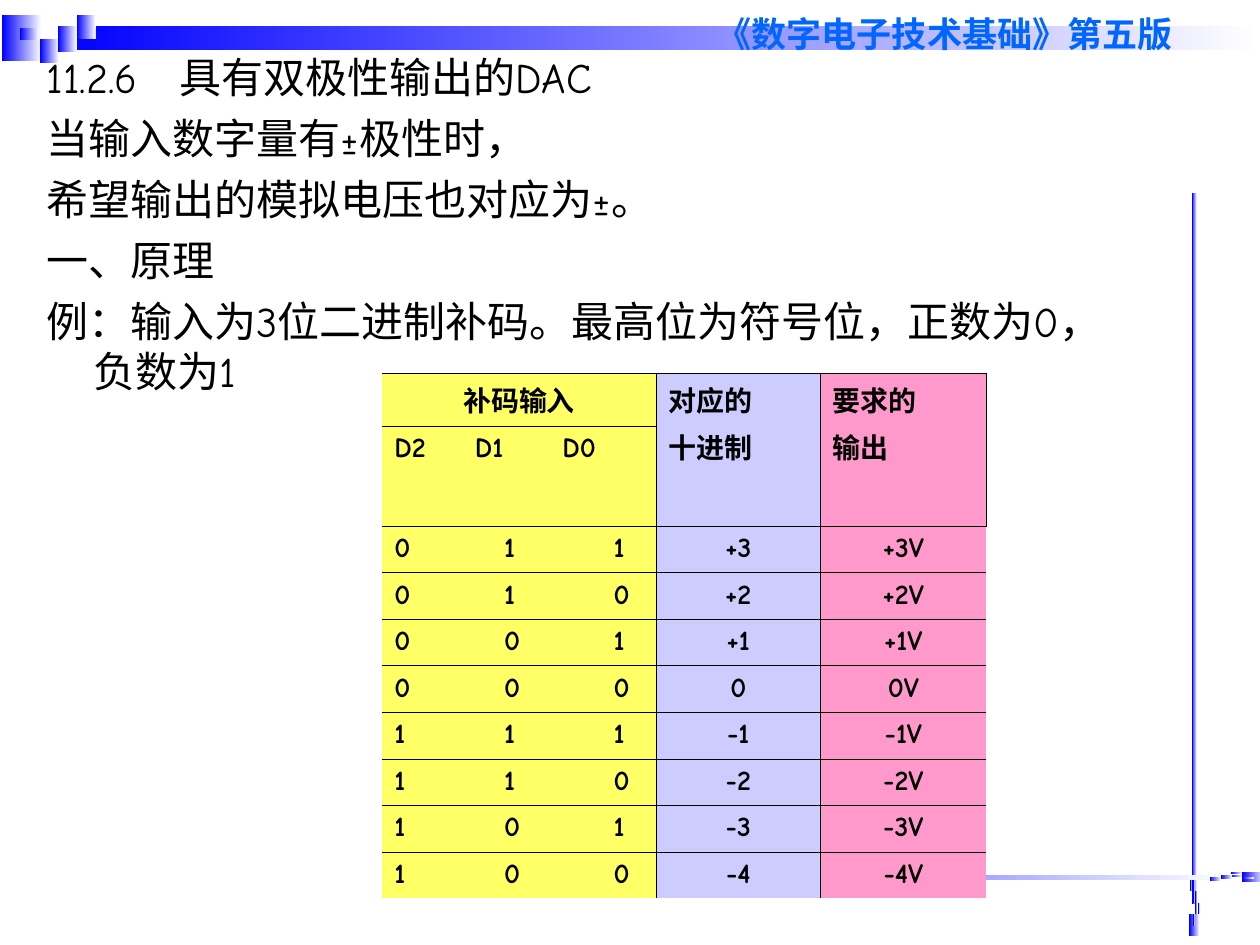
from lxml import etree
from pptx import Presentation
from pptx.dml.color import RGBColor
from pptx.enum.shapes import MSO_SHAPE
from pptx.enum.text import MSO_AUTO_SIZE, PP_ALIGN
from pptx.oxml.ns import qn
from pptx.util import Pt

RECT = MSO_SHAPE.RECTANGLE
FIXED = MSO_AUTO_SIZE.NONE
CENTER = PP_ALIGN.CENTER
LEFT = PP_ALIGN.LEFT

COLORS = {
    "white": "FFFFFF", "blue": "0000FF", "head": "0066FF", "black": "000000",
    "yellow": "FFFF66", "lilac": "CCCCFF", "pink": "FF99CC",
}
FONT = "Comic Neue"
NO_GRID = "{2D5ABB26-0587-4C30-8999-92F81FD0307C}"

BOOK = "《数字电子技术基础》第五版"
LINES = [
    "11.2.6　具有双极性输出的DAC",
    "当输入数字量有±极性时，",
    "希望输出的模拟电压也对应为±。",
    "一、原理",
    "例：输入为3位二进制补码。最高位为符号位，正数为0，负数为1",
]
HEADS = [
    (0, 0, 1, 3, "补码输入", CENTER),
    (0, 3, 2, 1, "对应的\n十进制", LEFT),
    (0, 4, 2, 1, "要求的\n输出", LEFT),
    (1, 0, 1, 3, "D2\tD1\tD0", LEFT),
]
CODES = [
    ("011", "+3"), ("010", "+2"), ("001", "+1"), ("000", "0"),
    ("111", "-1"), ("110", "-2"), ("101", "-3"), ("100", "-4"),
]
FILLS = ["yellow", "yellow", "yellow", "lilac", "pink"]
WIDTHS = [62.6, 62.6, 31.7, 93.6, 95]
HEIGHTS = [30.2, 57] + [26.6] * len(CODES)
TABS = [46, 96]

TOP = [
    (1.4, 8.6, 22.3, 26.6), (33.8, 15.1, 686.2, 13.7),
    (33.1, 15.1, 10.8, 7.2), (43.9, 8.6, 10.8, 7.2),
    (43.9, 15.1, 10.8, 7.2), (23, 22.3, 10.8, 7.2),
    (11.5, 15.8, 10.8, 7.2), (33.1, 22.3, 10.8, 7.2),
    (23, 29.5, 10.8, 6.5),
]
SIDE = [(676.1, 525.6, 13, 5.8), (479.5, 311.8, 406.1, 2.9)] + [
    (x, y, 6.5, 1.4) for x, y in [
        (679, 511.9), (677.5, 505.4), (679, 505.4), (680.4, 518.4),
        (679, 524.9), (680.4, 511.9), (681.8, 518.4)]
]
FOOT = [(709.9, 498.2, 13, 5.8), (298.1, 499.7, 406.1, 2.9)] + [
    (x, y, 6.5, 1.4) for x, y in [
        (697.7, 501.1), (691.2, 501.8), (691.2, 501.1), (703.4, 499.7),
        (709.9, 501.1), (697.7, 499.7), (703.4, 498.2)]
]


def color(name):
    return RGBColor.from_string(COLORS[name])


def style(para, size, name, hue, bold=False):
    font = para.font
    font.size, font.name, font.bold = Pt(size), name, bold
    font.color.rgb = color(hue)


def add_bar(slide, box, turn):
    bar = slide.shapes.add_shape(RECT, *map(Pt, box))
    bar.rotation = turn
    bar.shadow.inherit = False
    bar.line.fill.background()
    bar.fill.gradient()
    bar.fill.gradient_angle = 180
    for stop, hue in zip(bar.fill.gradient_stops, ("white", "blue")):
        stop.color.rgb = color(hue)
    bar.element.spPr.find(qn("a:gradFill")).set("rotWithShape", "0")


def add_edge(cell, side):
    line = etree.SubElement(cell._tc.get_or_add_tcPr(), qn(f"a:ln{side}"), w=str(Pt(0.45)))
    fill = etree.SubElement(line, qn("a:solidFill"))
    etree.SubElement(fill, qn("a:srgbClr"), val=COLORS["black"])


def fill_cell(table, row, col, text, align, high=1, wide=1):
    cell = table.cell(row, col)
    if high * wide > 1:
        cell.merge(table.cell(row + high - 1, col + wide - 1))
    cell.text = text
    for i, para in enumerate(cell.text_frame.paragraphs):
        if "\t" in text:
            tabs = etree.SubElement(para._p.get_or_add_pPr(), qn("a:tabLst"))
            for pos in TABS:
                etree.SubElement(tabs, qn("a:tab"), pos=str(Pt(pos)), algn="l")
        if i:
            para.space_before = Pt(4)
        para.alignment = align
        style(para, 16, FONT, "black", True)
    edges = {
        "L": col > 2,
        "R": col + wide in (3, 4),
        "T": True,
        "B": row + high < len(HEIGHTS),
    }
    for side, drawn in edges.items():
        if drawn:
            add_edge(cell, side)
    cell.fill.solid()
    cell.fill.fore_color.rgb = color(FILLS[col])


def add_codes(slide):
    frame = slide.shapes.add_table(
        len(HEIGHTS), len(WIDTHS), Pt(218.2), Pt(213.1), Pt(sum(WIDTHS)), Pt(sum(HEIGHTS)))
    table = frame.table
    table.first_row = table.horz_banding = False
    table._tbl.tblPr.find(qn("a:tableStyleId")).text = NO_GRID
    for col, wide in zip(table.columns, WIDTHS):
        col.width = Pt(wide)
    for row, high in zip(table.rows, HEIGHTS):
        row.height = Pt(high)
    for row, col, high, wide, text, align in HEADS:
        fill_cell(table, row, col, text, align, high, wide)
    for row, (bits, value) in enumerate(CODES, 2):
        for col, text in enumerate([*bits, value, value + "V"]):
            fill_cell(table, row, col, text, CENTER if col > 2 else LEFT)


def add_book(slide):
    box = slide.shapes.add_textbox(Pt(402.5), Pt(3.6), Pt(292.3), Pt(31.7))
    box.text_frame.word_wrap = True
    para = box.text_frame.paragraphs[0]
    para.text = BOOK
    style(para, 20, "Arial", "head", True)


def fill_body(body):
    body.left, body.top, body.width, body.height = map(Pt, (19.4, 25.9, 640.8, 203.8))
    frame = body.text_frame
    frame.auto_size = FIXED
    frame.text = "\n".join(LINES)
    for i, para in enumerate(frame.paragraphs):
        props = para._p.get_or_add_pPr()
        props.set("marL", str(Pt(27)))
        props.set("indent", str(Pt(-27)))
        etree.SubElement(props, qn("a:buNone"))
        para.space_before = Pt(6 if i else 0)
        style(para, 24, FONT, "black")


def main():
    deck = Presentation()
    deck.slide_width, deck.slide_height = Pt(720), Pt(540)
    slide = deck.slides.add_slide(deck.slide_layouts[1])
    title, body = slide.placeholders
    tree = body.element.getparent()
    tree.remove(title.element)
    for bars, turn in ((TOP, 0), (SIDE, 270), (FOOT, 180)):
        for box in bars:
            add_bar(slide, box, turn)
    add_book(slide)
    fill_body(body)
    tree.append(body.element)
    add_codes(slide)
    deck.save("out.pptx")


if __name__ == "__main__":
    main()
